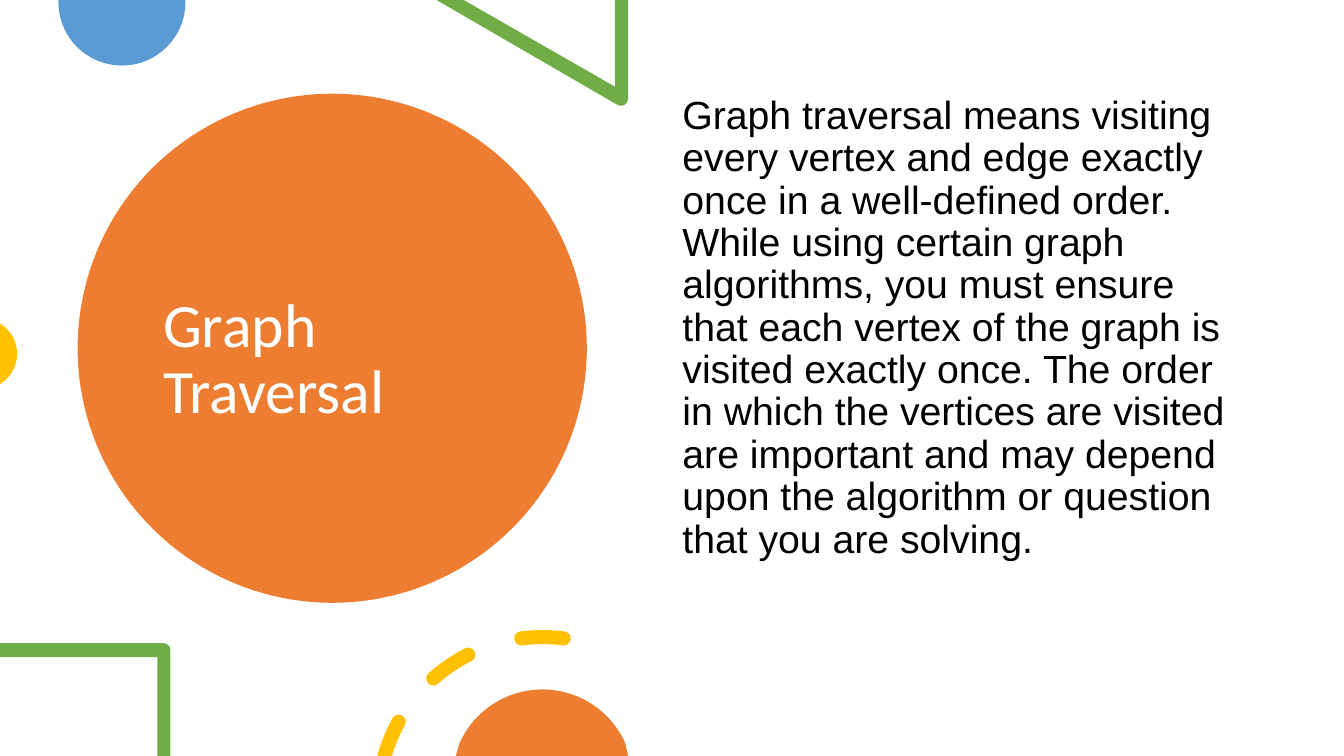
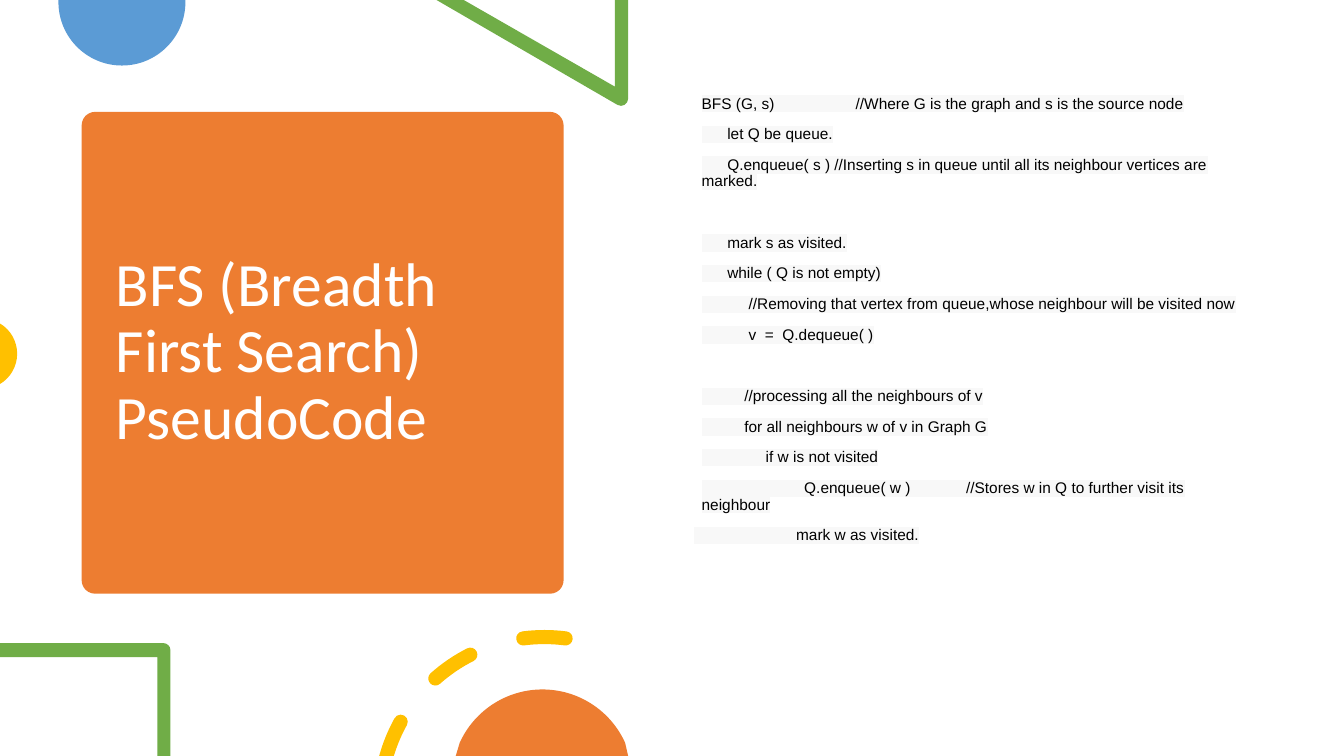
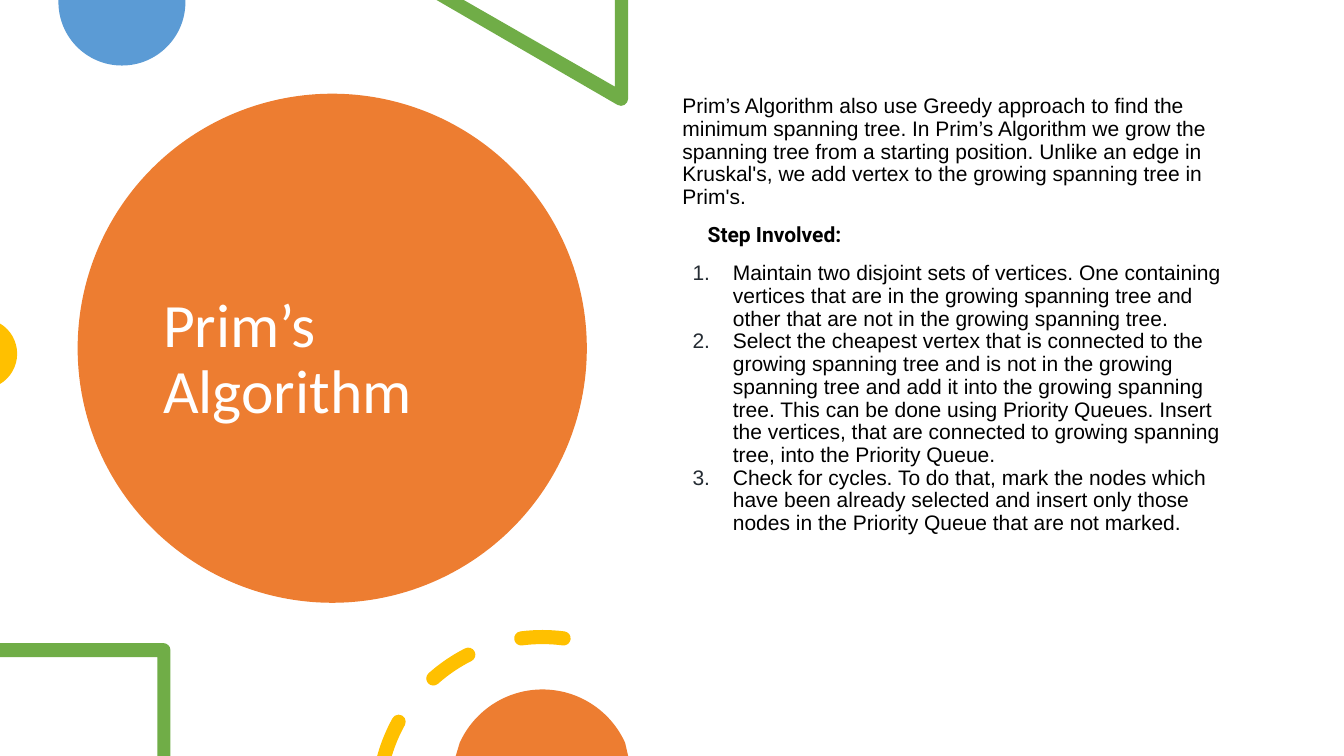
from dataclasses import dataclass
from math import ceil, cos, radians, sin, tan

from lxml.etree import SubElement
from pptx import Presentation
from pptx.dml.color import RGBColor
from pptx.enum.shapes import MSO_SHAPE as SHAPE
from pptx.enum.text import MSO_ANCHOR as ANCHOR
from pptx.oxml.ns import qn
from pptx.util import Inches, Pt


@dataclass(frozen=True)
class Theme:
    orange: str = "ED7D31"
    blue: str = "5B9BD5"
    green: str = "70AD47"
    yellow: str = "FFC000"
    white: str = "FFFFFF"
    black: str = "000000"
    number: str = "252C33"
    code_back: str = "F8F8F8"
    title_font: str = "Calibri"
    body_font: str = "Arial"
    heading_font: str = "Roboto"
    title_size: int = 44
    lead_size: int = 28
    list_size: int = 15
    code_size: int = 11


T = Theme()


def add_text(s, box, paras, anchor=ANCHOR.TOP, **shared):
    """Add a text box; paras holds (text, overrides of the shared format)."""
    tf = s.shapes.add_textbox(*map(Inches, box)).text_frame
    tf.word_wrap = True
    tf.vertical_anchor = anchor
    for i, (text, own) in enumerate(paras):
        f = {"font": T.body_font, "color": T.black, "bold": False, "before": 0,
             "left": 0, "hang": 0, "number": None, "back": None, **shared, **own}
        p = tf.paragraphs[0] if i == 0 else tf.add_paragraph()
        p.line_spacing = 0.9
        p.space_before = Pt(f["before"] if i else 0)
        pPr = p._p.get_or_add_pPr()
        pPr.set("marL", str(Inches(f["left"])))
        pPr.set("indent", str(-Inches(f["hang"])))
        if f["number"]:
            SubElement(SubElement(pPr, qn("a:buClr")), qn("a:srgbClr")).set("val", f["number"])
            SubElement(pPr, qn("a:buFont")).set("typeface", f["font"])
            SubElement(pPr, qn("a:buAutoNum")).set("type", "arabicPeriod")
        r = p.add_run()
        r.text = text
        r.font.size = Pt(f["size"])
        r.font.bold = f["bold"]
        r.font.color.rgb = RGBColor.from_string(f["color"])
        if f["back"]:
            mark = SubElement(r._r.get_or_add_rPr(), qn("a:highlight"))
            SubElement(mark, qn("a:srgbClr")).set("val", f["back"])
        r.font.name = f["font"]


def arc(cx, cy, radius, start, end):
    """Start point and Bezier curves (control, control, end) of an arc, in degrees."""
    count = max(1, ceil(abs(end - start) / 90))
    sweep = radians(end - start) / count
    pull = radius * 4 / 3 * tan(sweep / 4)
    result = [(cx + radius * cos(radians(start)), cy + radius * sin(radians(start)))]
    for i in range(count):
        a = radians(start) + i * sweep
        b = a + sweep
        x0, y0 = cx + radius * cos(a), cy + radius * sin(a)
        x1, y1 = cx + radius * cos(b), cy + radius * sin(b)
        result.append(((x0 - pull * sin(a), y0 + pull * cos(a)),
                       (x1 + pull * sin(b), y1 - pull * cos(b)), (x1, y1)))
    return result


# Dashed ring: two round-ended dashes and one cut by the slide's bottom edge
RING_X, RING_Y, OUTER, INNER = 5.38, 7.95, 1.7, 1.56
MIDDLE, CAP = (OUTER + INNER) / 2, (OUTER - INNER) / 2
DASH, STEP, LAST = 14.8, 34.2, 277.4
dashes = []
for i in range(3):
    end = LAST - i * STEP
    cut = i == 2
    out_start, in_start = (195.3, 196.8) if cut else (end - DASH, end - DASH)
    tip = arc(RING_X, RING_Y, MIDDLE, end, end)[0]
    dash = arc(RING_X, RING_Y, OUTER, out_start, end)
    dash += arc(*tip, CAP, end, end + 180)[1:]
    dash += arc(RING_X, RING_Y, INNER, end, in_start)[1:]
    if not cut:
        tail = arc(RING_X, RING_Y, MIDDLE, in_start, in_start)[0]
        dash += arc(*tail, CAP, in_start + 180, in_start + 360)[1:]
    dashes.append(dash)

# Decoration shared by all slides: colour and outlines of points and curves
decoration = [
    (T.blue, [[(1.84, 0), (0.58, 0)] + arc(1.21, 0.02, 0.63, 180, 0)]),
    (T.green, [[(6.23, 0), (6.1, 0), (6.1, 0.86), (4.6, 0), (4.33, 0)]
               + arc(6.16, 0.98, 0.07, 120, 0)]),
    (T.yellow, [arc(-0.18, 3.51, 0.35, -59, 59)]),
    (T.green, [[(0, 6.38), (0, 6.52), (1.56, 6.52), (1.56, 7.5), (1.69, 7.5)]
               + arc(1.62, 6.45, 0.07, 0, -90)]),
    (T.yellow, dashes),
    (T.orange, [[(4.52, 7.5)] + arc(5.38, 7.74, 0.9, 204.3, 335.7) + [(6.23, 7.5)]]),
]

# Panels behind the titles: shape, panel box, title box
CIRCLE = (SHAPE.OVAL, (0.77, 0.93, 5.05, 5.05), (1.52, 1.35, 3.54, 4.45))
SQUARE = (SHAPE.ROUNDED_RECTANGLE, (0.81, 1.11, 4.78, 4.78), (1.05, 1.22, 4.31, 4.56))
BODY = (6.67, 0.9, 5.75, 5.35)

# Body texts
lead = [("Graph traversal means visiting every vertex and edge exactly once in a "
         "well-defined order. While using certain graph algorithms, you must ensure that "
         "each vertex of the graph is visited exactly once. The order in which the vertices "
         "are visited are important and may depend upon the algorithm or question that you "
         "are solving.", {})]

gap = {"before": 32}
code = [
    ("BFS (G, s)                   //Where G is the graph and s is the source node", {}),
    ("      let Q be queue.", {}),
    ("      Q.enqueue( s ) //Inserting s in queue until all its neighbour vertices are marked.", {}),
    ("      mark s as visited.", gap),
    ("      while ( Q is not empty)", {}),
    ("           //Removing that vertex from queue,whose neighbour will be visited now", {}),
    ("           v  =  Q.dequeue( )", {}),
    ("          //processing all the neighbours of v", gap),
    ("          for all neighbours w of v in Graph G", {}),
    ("               if w is not visited", {}),
    ("                        Q.enqueue( w )             //Stores w in Q to further visit its neighbour", {}),
    ("                        mark w as visited.", {"left": 0.11}),
]

item = {"left": 0.5, "hang": 0.4, "number": T.number}
prim = [
    ("Prim’s Algorithm also use Greedy approach to find the minimum spanning tree. In Prim’s "
     "Algorithm we grow the spanning tree from a starting position. Unlike an edge in "
     "Kruskal's, we add vertex to the growing spanning tree in Prim's.", {}),
    ("Step Involved:", {"left": 0.25, "before": 11, "font": T.heading_font, "bold": True}),
    ("Maintain two disjoint sets of vertices. One containing vertices that are in the growing "
     "spanning tree and other that are not in the growing spanning tree.",
     {**item, "before": 11}),
    ("Select the cheapest vertex that is connected to the growing spanning tree and is not in "
     "the growing spanning tree and add it into the growing spanning tree. This can be done "
     "using Priority Queues. Insert the vertices, that are connected to growing spanning tree, "
     "into the Priority Queue.", item),
    ("Check for cycles. To do that, mark the nodes which have been already selected and insert "
     "only those nodes in the Priority Queue that are not marked.", item),
]

# Slides: title, panel, body, body format, shift of the dashed ring
slides = [
    ("Graph Traversal", CIRCLE, lead, {"size": T.lead_size}, 0),
    ("BFS (Breadth First Search) PseudoCode", SQUARE, code,
     {"size": T.code_size, "before": 10, "left": 0.19, "back": T.code_back}, 0.02),
    ("Prim’s Algorithm", CIRCLE, prim, {"size": T.list_size}, 0),
]

prs = Presentation()
prs.slide_width, prs.slide_height = Inches(13.33), Inches(7.5)

for title, (kind, panel_box, title_box), body, body_format, ring_shift in slides:
    s = prs.slides.add_slide(prs.slide_layouts[6])

    # Panel and title
    panel = s.shapes.add_shape(kind, *map(Inches, panel_box))
    if kind == SHAPE.ROUNDED_RECTANGLE:
        panel.adjustments[0] = 0.028
    add_text(s, title_box, [(title, {})], anchor=ANCHOR.MIDDLE,
             font=T.title_font, size=T.title_size, color=T.white)
    filled = [(panel, T.orange)]

    # Decoration
    for color, outlines in decoration:
        dx = ring_shift if outlines is dashes else 0
        builder = None
        for outline in outlines:
            pts = []
            for part in outline:
                pts += part if len(part) == 3 else [part]
            pts = [(Inches(x + dx), Inches(y)) for x, y in pts]
            if builder is None:
                builder = s.shapes.build_freeform(*pts[0])
            else:
                builder.move_to(*pts[0])
            builder.add_line_segments(pts[1:], close=True)
        sp = builder.convert_to_shape()
        filled.append((sp, color))

        # Turn each curve's three line segments into one Bezier segment
        lines = iter(list(sp._element.iter(qn("a:lnTo"))))
        for outline in outlines:
            for part in outline[1:]:
                first = next(lines)
                if len(part) == 3:
                    curve = SubElement(first.getparent(), qn("a:cubicBezTo"))
                    first.addprevious(curve)
                    for line in (first, next(lines), next(lines)):
                        curve.append(line[0])
                        line.getparent().remove(line)

    for sp, color in filled:
        sp.shadow.inherit = False
        sp.fill.solid()
        sp.fill.fore_color.rgb = RGBColor.from_string(color)
        sp.line.fill.background()

    # Body
    add_text(s, BODY, body, **body_format)

prs.save("out.pptx")
